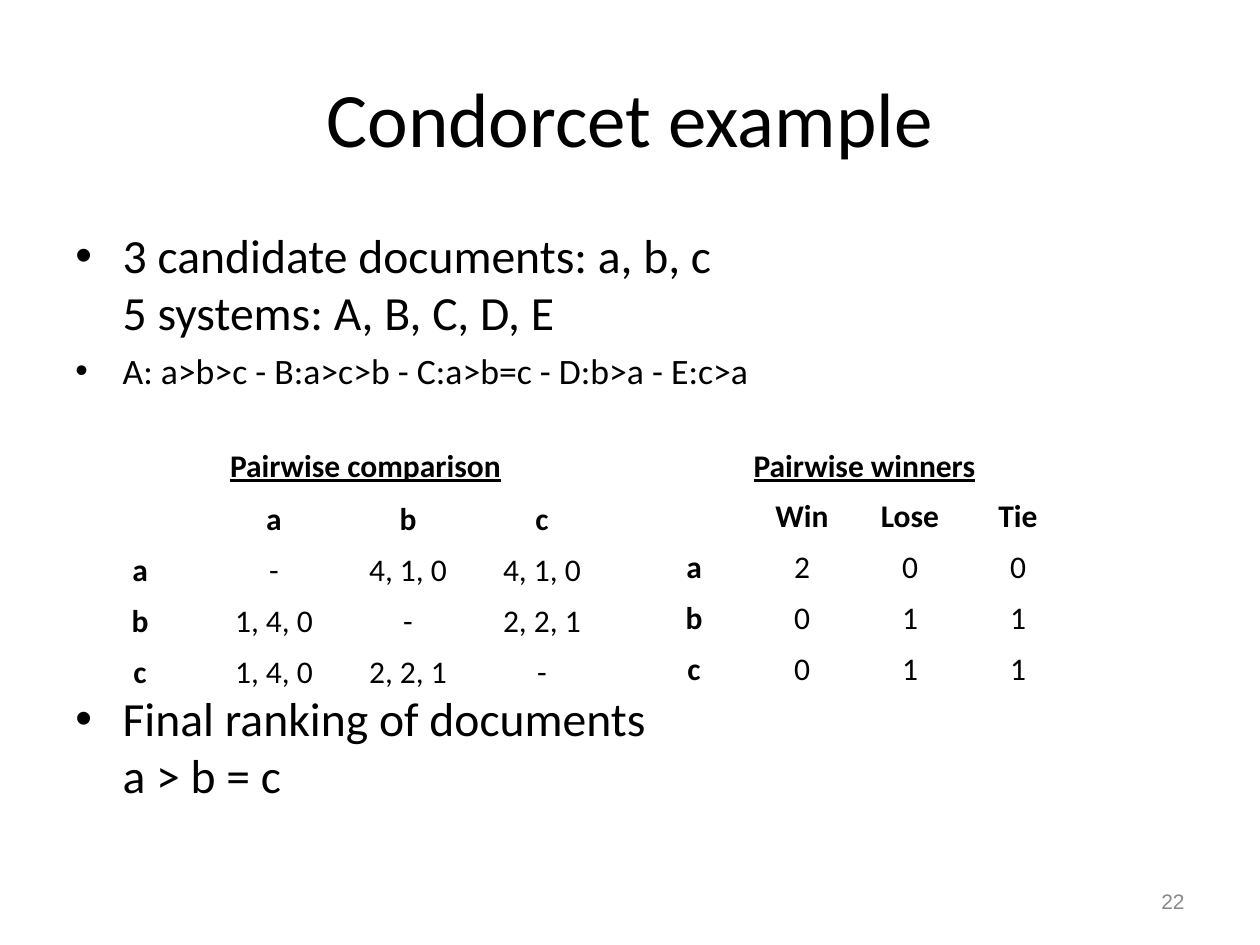
"""Build the Condorcet example slide with its ranking lists and vote tables."""
from dataclasses import dataclass

from lxml.etree import SubElement
from pptx import Presentation
from pptx.dml.color import RGBColor
from pptx.enum.text import MSO_ANCHOR, PP_ALIGN
from pptx.oxml.ns import qn
from pptx.util import Emu, Pt

PX = 914400 / 126
ROW_H = 51
COLORS = {"text": "000000", "number": "898989", "border": "FFFFFF"}
THIN, THICK = 0.45, 1.47


@dataclass(frozen=True)
class Bullet:
    text: str
    size: float
    before: float


@dataclass(frozen=True)
class Grid:
    left: int
    top: int
    col_w: int
    rows: tuple[tuple[str, ...], ...]
    underline: bool = False


BULLETS = (
    Bullet("3 candidate documents: a, b, c\v5 systems: A, B, C, D, E", 27.2, 0),
    Bullet("A: a>b>c - B:a>c>b - C:a>b=c - D:b>a - E:c>a", 20.4, 4.8),
    Bullet("Final ranking of documents\va > b = c", 27.2, 170),
)
GRIDS = (
    Grid(73, 494, 134, (
        ("", "a", "b", "c"),
        ("a", "-", "4, 1, 0", "4, 1, 0"),
        ("b", "1, 4, 0", "-", "2, 2, 1"),
        ("c", "1, 4, 0", "2, 2, 1", "-"),
    )),
    Grid(640, 491, 108, (
        ("", "Win", "Lose", "Tie"),
        ("a", "2", "0", "0"),
        ("b", "0", "1", "1"),
        ("c", "0", "1", "1"),
    )),
    Grid(116, 441, 499, (("Pairwise comparison", "Pairwise winners"),), True),
)


def px(*values: int) -> list[Emu]:
    """Turn pixel lengths into EMU."""
    return [Emu(round(v * PX)) for v in values]


def style(p, size: float, color: str = "text", name: str = "Calibri", **extra) -> None:
    """Format a paragraph and its runs."""
    for target in (p, *p.runs):
        for key, value in {"size": Pt(size), "name": name, **extra}.items():
            setattr(target.font, key, value)
        target.font.color.rgb = RGBColor.from_string(COLORS[color])


def add_title(slide, text: str) -> None:
    """Place and format the title placeholder."""
    sp = slide.shapes.title
    sp.left, sp.top, sp.width, sp.height = px(63, 38, 1134, 158)
    tf = sp.text_frame
    tf.text = text
    tf.vertical_anchor = MSO_ANCHOR.MIDDLE
    tf.paragraphs[0].alignment = PP_ALIGN.CENTER
    style(tf.paragraphs[0], 44)


def add_bullets(slide, bullets: tuple[Bullet, ...]) -> None:
    """Add the bulleted text."""
    tf = slide.shapes.add_textbox(*px(63, 220, 1134, 624)).text_frame
    tf.word_wrap = True
    for i, bullet in enumerate(bullets):
        p = tf.add_paragraph() if i else tf.paragraphs[0]
        p.text = bullet.text
        pPr = p._p.get_or_add_pPr()
        pPr.set("marL", str(Pt(27)))
        pPr.set("indent", str(-Pt(27)))
        SubElement(pPr, qn("a:buFont"), typeface="Arial")
        SubElement(pPr, qn("a:buChar"), char="•")
        p.space_before = Pt(bullet.before)
        style(p, bullet.size)


def add_number(slide, text: str) -> None:
    """Add the slide number."""
    tf = slide.shapes.add_textbox(*px(903, 876, 294, 50)).text_frame
    tf.word_wrap = True
    tf.vertical_anchor = MSO_ANCHOR.MIDDLE
    p = tf.paragraphs[0]
    p.text = text
    p.alignment = PP_ALIGN.RIGHT
    style(p, 12, "number", "Arial")


def set_borders(cell, top: float, bottom: float) -> None:
    """Draw the four borders of a cell."""
    tcPr = cell._tc.get_or_add_tcPr()
    widths = {"lnL": THIN, "lnR": THIN, "lnT": top, "lnB": bottom}
    for tag, width in widths.items():
        ln = SubElement(tcPr, qn(f"a:{tag}"), w=str(Pt(width)))
        fill = SubElement(ln, qn("a:solidFill"))
        SubElement(fill, qn("a:srgbClr"), val=COLORS["border"])


def add_grid(slide, grid: Grid) -> None:
    """Add a table with a bold first row and first column."""
    n_rows, n_cols = len(grid.rows), len(grid.rows[0])
    box = px(grid.left, grid.top, grid.col_w * n_cols, ROW_H * n_rows)
    table = slide.shapes.add_table(n_rows, n_cols, *box).table
    table.first_row = table.horz_banding = False
    for r, row in enumerate(grid.rows):
        for c, text in enumerate(row):
            cell = table.cell(r, c)
            cell.text = text
            set_borders(cell, THICK if r == 1 else THIN, THICK if r == 0 else THIN)
            cell.fill.background()
            p = cell.text_frame.paragraphs[0]
            p.alignment = PP_ALIGN.CENTER
            style(p, 18, bold=r == 0 or c == 0, underline=grid.underline)


def main() -> None:
    """Build and save the slide."""
    prs = Presentation()
    prs.slide_width, prs.slide_height = px(1260, 945)
    slide = prs.slides.add_slide(prs.slide_layouts[5])
    add_title(slide, "Condorcet example")
    add_bullets(slide, BULLETS)
    add_number(slide, "22")
    for grid in GRIDS:
        add_grid(slide, grid)
    prs.save("out.pptx")


if __name__ == "__main__":
    main()
